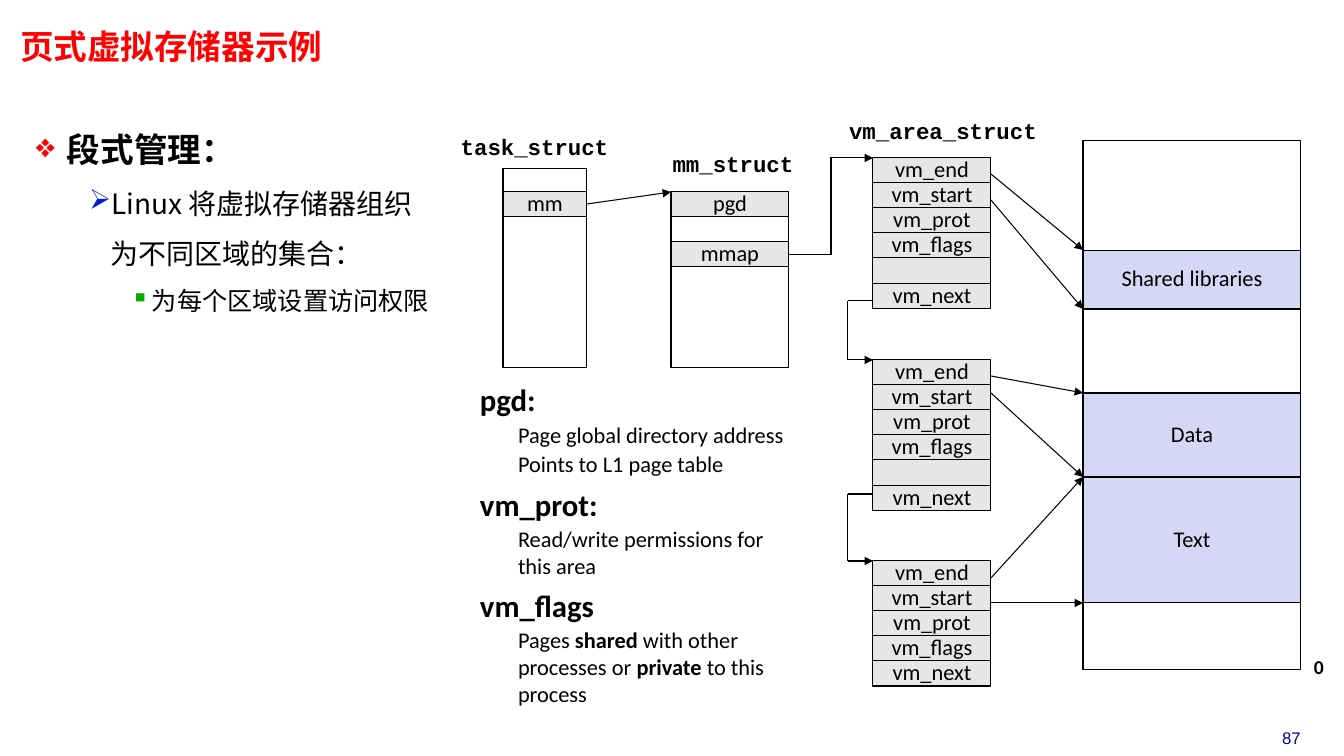
import pptx
import pptx.util
import pptx.dml.color
import pptx.enum.shapes
import pptx.enum.text
import pptx.oxml
import pptx.oxml.ns

PX = 12192000 / 1344
COLORS = {
    "black": "000000", "white": "FFFFFF", "title": "FF0000", "number": "000099",
    "field": "E6E6E6", "segment": "D6D6F5",
    "diamond": "FF0000", "arrow": "001ADC", "square": "05AD01",
}
ALIGN = pptx.enum.text.PP_ALIGN
ANCHOR = pptx.enum.text.MSO_ANCHOR
CONNECTOR = pptx.enum.shapes.MSO_CONNECTOR

AREA_LEFT, AREA_WIDTH = 873, 118
MEMORY_LEFT, MEMORY_WIDTH = 1083, 218
FIELD_HEIGHT = 25
AREA_FIELDS = ["vm_end", "vm_start", "vm_prot", "vm_flags"]


def emu(px):
    return pptx.util.Emu(round(px * PX))


def rgb(name):
    return pptx.dml.color.RGBColor.from_string(COLORS[name])


def row_offset(row):
    """Distance from the top of a structure to a row, at 25.2 px a row."""
    return row * 126 // 5


def add_span(para, text, size, font="Calibri", bold=False, color="black"):
    span = para.add_run()
    span.text = text
    span.font.size = pptx.util.Pt(size)
    span.font.name = font
    span.font.bold = bold
    span.font.color.rgb = rgb(color)
    east_asian = pptx.oxml.parse_xml(
        f'<a:ea {pptx.oxml.ns.nsdecls("a")} typeface="{font}"/>')
    span.font._element.find(pptx.oxml.ns.qn("a:latin")).addnext(east_asian)


def add_text_box(page, left, top, width, height, inset=(10, 5), wrap=True):
    box = page.shapes.add_textbox(emu(left), emu(top), emu(width), emu(height))
    frame = box.text_frame
    frame.word_wrap = wrap
    frame.margin_left = frame.margin_right = emu(inset[0])
    frame.margin_top = frame.margin_bottom = emu(inset[1])
    return frame


def add_label(page, text, left, top, width, height, size=16, align=ALIGN.CENTER,
              spacing=0.88, inset=(10, 5), wrap=False, **style):
    para = add_text_box(page, left, top, width, height, inset, wrap).paragraphs[0]
    para.alignment = align
    para.line_spacing = spacing
    add_span(para, text, size, **style)


def add_box(page, left, top, width, height, fill, text=None):
    box = page.shapes.add_shape(pptx.enum.shapes.MSO_SHAPE.RECTANGLE,
                                emu(left), emu(top), emu(width), emu(height))
    box.shadow.inherit = False
    box.fill.solid()
    box.fill.fore_color.rgb = rgb(fill)
    box.line.color.rgb = rgb("black")
    box.line.width = pptx.util.Pt(0.75)
    if text:
        frame = box.text_frame
        frame.word_wrap = False
        frame.vertical_anchor = ANCHOR.MIDDLE
        para = frame.paragraphs[0]
        para.alignment = ALIGN.CENTER
        para.line_spacing = 0.88
        add_span(para, text, 16)


def add_structure(page, left, top, width, height, fill, fields):
    """Draw a frame with named fields; fields maps a row number to a name."""
    add_box(page, left, top, width, height, fill)
    for row, name in fields.items():
        add_box(page, left, top + row_offset(row), width, FIELD_HEIGHT, "field", name)


def add_line(page, start, end, kind=CONNECTOR.STRAIGHT, arrow=True):
    line = page.shapes.add_connector(kind, emu(start[0]), emu(start[1]),
                                     emu(end[0]), emu(end[1]))
    line.line.color.rgb = rgb("black")
    line.line.width = pptx.util.Pt(0.75)
    if arrow:
        line.line._get_or_add_ln().append(pptx.oxml.parse_xml(
            f'<a:tailEnd {pptx.oxml.ns.nsdecls("a")} type="triangle"/>'))
    line._element.spPr.append(pptx.oxml.parse_xml(
        f'<a:effectLst {pptx.oxml.ns.nsdecls("a")}/>'))


def add_next_link(page, start_y, end_y):
    """Lead from a vm_next field round the left side to the next area."""
    bend = AREA_LEFT - 25
    points = [(AREA_LEFT, start_y), (bend, start_y), (bend, end_y), (AREA_LEFT, end_y)]
    for index, (start, end) in enumerate(zip(points, points[1:])):
        add_line(page, start, end, arrow=index == 2)


def set_indent(para, margin, hanging=0):
    properties = para._p.get_or_add_pPr()
    properties.set("marL", str(emu(margin)))
    properties.set("indent", str(-emu(hanging)))
    return properties


def add_outline(page):
    frame = add_text_box(page, 29, 106, 411, 215, inset=(7, 3))
    items = [
        ("段式管理：", 24, True, "❖", "diamond", 31, 31),
        ("Linux 将虚拟存储器组织为不同区域的集合：", 20, False, "➢", "arrow", 74, 21),
        ("为每个区域设置访问权限", 18, False, "▪", "square", 116, 21),
    ]
    for level, (text, size, bold, mark, color, margin, hanging) in enumerate(items):
        para = frame.add_paragraph() if level else frame.paragraphs[0]
        para.level = level
        properties = set_indent(para, margin, hanging)
        para.line_spacing = 1.5
        namespace = pptx.oxml.ns.nsdecls("a")
        properties.append(pptx.oxml.parse_xml(
            f'<a:buClr {namespace}><a:srgbClr val="{COLORS[color]}"/></a:buClr>'))
        properties.append(pptx.oxml.parse_xml(f'<a:buChar {namespace} char="{mark}"/>'))
        add_span(para, text, size, "Noto Sans CJK SC", bold)


def add_glossary(page):
    frame = add_text_box(page, 470, 376, 353, 319)
    entries = [
        ("pgd:", [["Page global directory address"], ["Points to L1 page table"]]),
        ("vm_prot:", [["Read/write permissions for", "\n", "this area"]]),
        ("vm_flags", [["Pages ", "*shared", " with other processes or ",
                       "*private", " to this process"]]),
    ]
    for index, (term, notes) in enumerate(entries):
        para = frame.add_paragraph() if index else frame.paragraphs[0]
        if index:
            para.space_before = pptx.util.Pt(5.7)
        add_span(para, term, 22, bold=True)
        for pieces in notes:
            para = frame.add_paragraph()
            para.level = 1
            set_indent(para, 38)
            para.space_before = pptx.util.Pt(2)
            for piece in pieces:
                if piece == "\n":
                    para.add_line_break()
                else:
                    add_span(para, piece.lstrip("*"), 16, bold=piece.startswith("*"))


def add_diagram(page):
    for text, left, top, width in [("task_struct", 450, 132, 169),
                                   ("mm_struct", 662, 149, 142),
                                   ("vm_area_struct", 838, 116, 210)]:
        add_label(page, text, left, top, width, 34, font="Courier New", bold=True)

    add_box(page, 503, 169, 84, 199, "white")
    add_box(page, 503, 192, 84, FIELD_HEIGHT, "field", "mm")
    add_structure(page, 671, 192, 118, 176, "white", {0: "pgd", 2: "mmap"})

    for top, next_row in [(158, 5), (360, 5), (561, 4)]:
        fields = dict(enumerate(AREA_FIELDS)) | {next_row: "vm_next"}
        add_structure(page, AREA_LEFT, top, AREA_WIDTH, row_offset(next_row + 1),
                      "field", fields)

    add_box(page, MEMORY_LEFT, 141, MEMORY_WIDTH, 529, "white")
    for name, top, height in [("Shared libraries", 250, 59), ("Data", 393, 84),
                              ("Text", 477, 126)]:
        add_box(page, MEMORY_LEFT, top, MEMORY_WIDTH, height, "segment", name)
    add_label(page, "0", 1304, 653, 31, 31, size=14, align=ALIGN.LEFT, bold=True)

    for start_y, end_y in [(174, 250), (200, 309), (376, 393), (393, 477),
                           (578, 477), (603, 603)]:
        add_line(page, (AREA_LEFT + AREA_WIDTH, start_y), (MEMORY_LEFT, end_y))
    add_next_link(page, 301, 360)
    add_next_link(page, 494, 561)
    add_line(page, (587, 204), (671, 192))
    add_line(page, (789, 255), (AREA_LEFT, 158), CONNECTOR.ELBOW)


def main():
    deck = pptx.Presentation()
    deck.slide_width, deck.slide_height = emu(1344), emu(756)
    page = deck.slides.add_slide(deck.slide_layouts[6])
    add_label(page, "页式虚拟存储器示例", 13, 28, 580, 41, size=24, align=ALIGN.LEFT,
              spacing=0.87, inset=(7, 3), wrap=True,
              font="Noto Sans Mono", bold=True, color="title")
    add_outline(page)
    add_diagram(page)
    add_glossary(page)
    add_label(page, "87", 1244, 723, 95, 30, size=12, spacing=1.0,
              font="Arial", color="number")
    deck.save("out.pptx")


if __name__ == "__main__":
    main()
